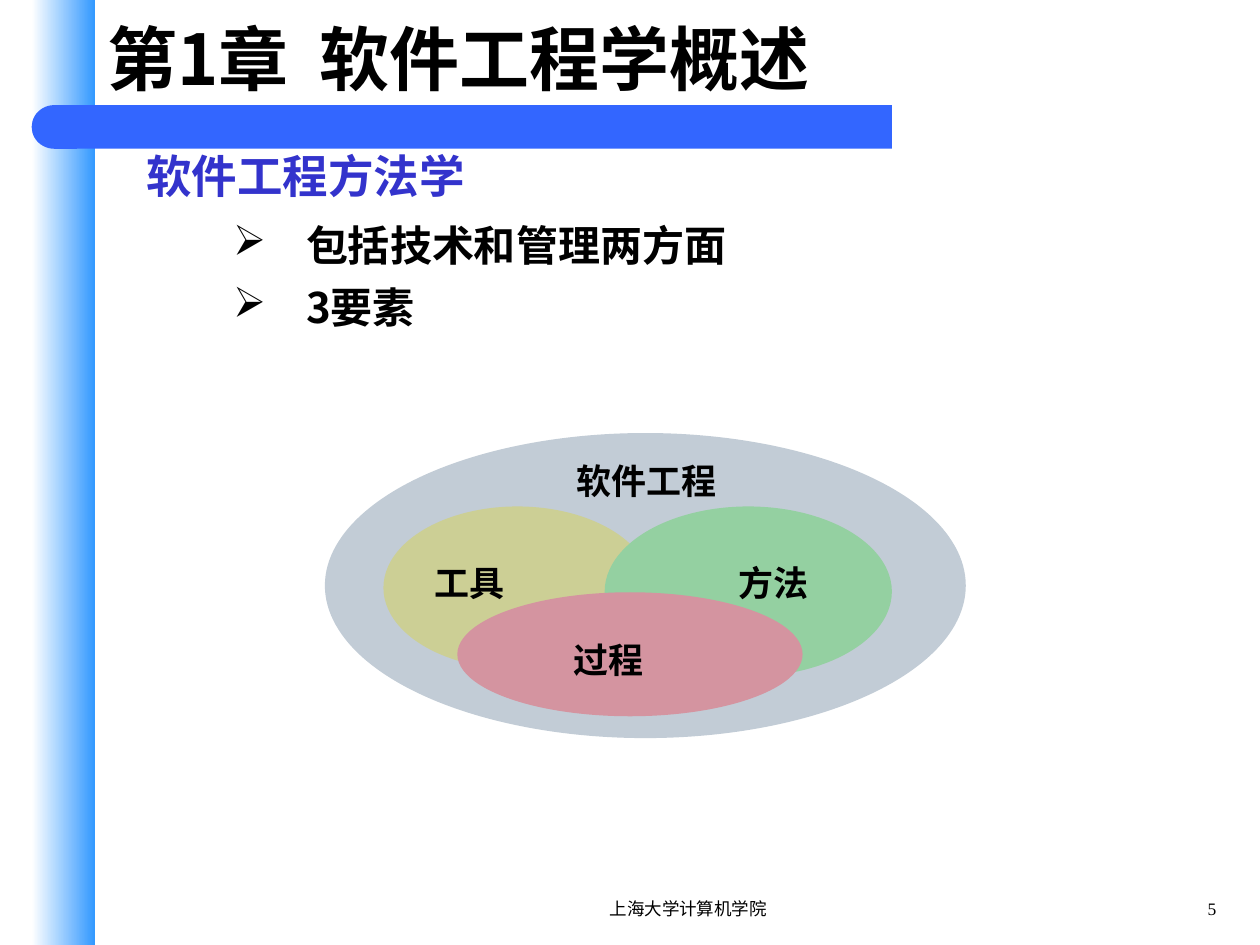
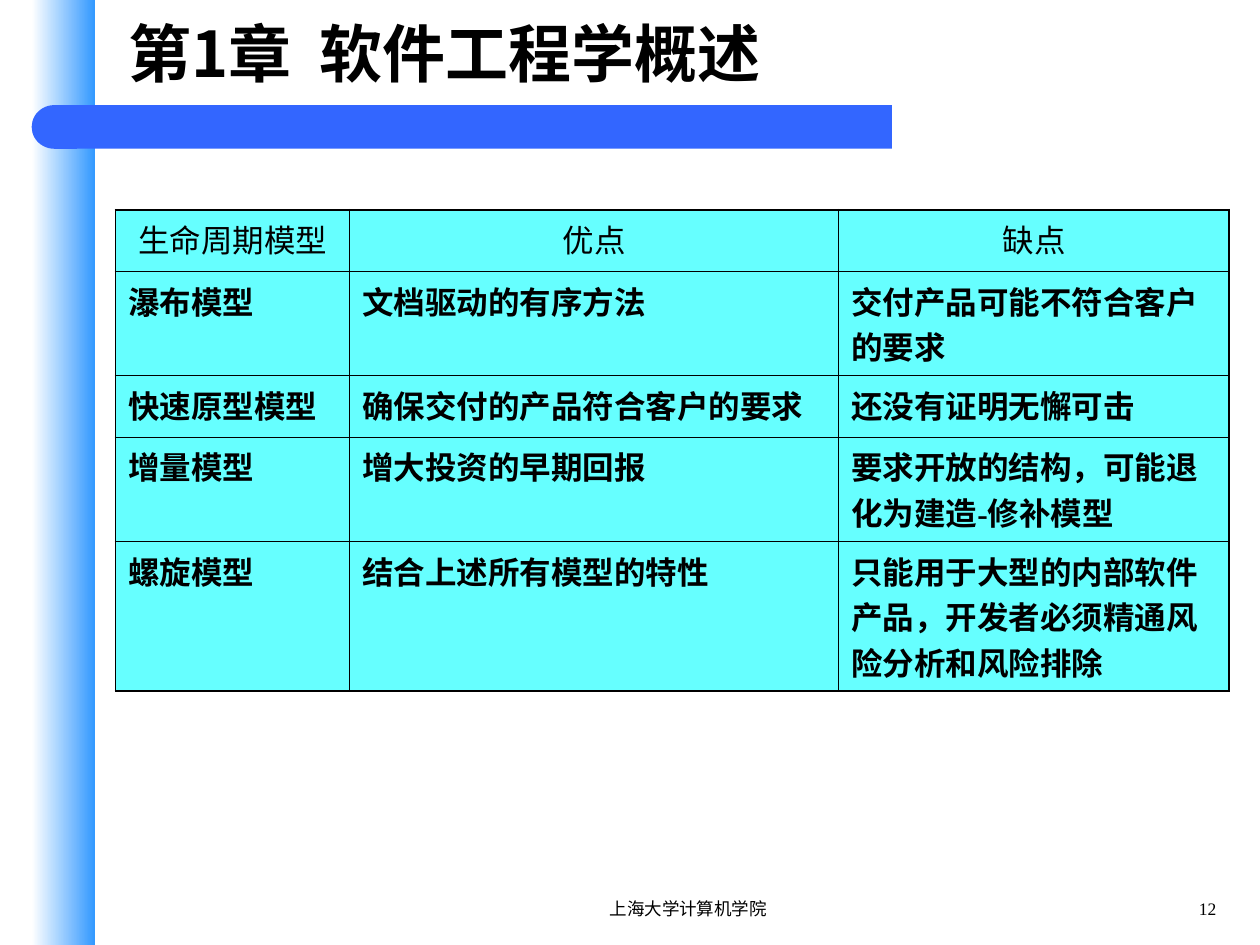
from dataclasses import dataclass

from pptx import Presentation
from pptx.dml.color import RGBColor
from pptx.enum.shapes import MSO_SHAPE
from pptx.enum.text import MSO_ANCHOR, PP_ALIGN
from pptx.oxml.ns import qn
from pptx.util import Cm, Pt
from lxml.etree import SubElement, Element


@dataclass(frozen=True)
class Theme:
    black: str = "000000"
    white: str = "FFFFFF"
    sky: str = "3399FF"
    bar: str = "3366FF"
    heading: str = "3333CC"
    cell: str = "66FFFF"
    whole: str = "C2CCD6"
    tools: str = "CCCF95"
    methods: str = "94D0A1"
    process: str = "D494A0"
    serif: str = "Times New Roman"
    sans: str = "Arial"
    cjk: str = "Noto Sans CJK SC"
    heading_size: float = 26
    bullet_size: float = 24
    label_size: float = 20
    table_size: float = 18
    footer_size: float = 10
    outer_line: float = 1.08
    inner_line: float = 0.45


THEME = Theme()
SCHOOL = "上海大学计算机学院"
CHAPTER = ("第1章", "软件工程学概述")
MODELS = [
    ("生命周期模型", "优点", "缺点"),
    ("瀑布模型", "文档驱动的有序方法", "交付产品可能不符合客户的要求"),
    ("快速原型模型", "确保交付的产品符合客户的要求", "还没有证明无懈可击"),
    ("增量模型", "增大投资的早期回报", "要求开放的结构，可能退化为建造-修补模型"),
    ("螺旋模型", "结合上述所有模型的特性",
     "只能用于大型的内部软件产品，开发者必须精通风险分析和风险排除"),
]


def cm_all(*lengths):
    return [Cm(length) for length in lengths]


def write(para, text, *, size, font=THEME.serif, color=THEME.black, bold=False,
          align=PP_ALIGN.LEFT, tracking=0):
    """Append a formatted span to a paragraph; tracking is in points."""
    para.alignment = align
    span = para.add_run()
    span.text = text
    span.font.size = Pt(size)
    span.font.name = font
    span.font.bold = bold
    span.font.color.rgb = RGBColor.from_string(color)
    properties = span.font._element
    if tracking:
        properties.set("spc", str(round(tracking * 100)))
    east_asian = Element(qn("a:ea"), typeface=THEME.cjk)
    properties.find(qn("a:latin")).addnext(east_asian)


def add_box(slide, area, *, anchor=MSO_ANCHOR.TOP, wrap=True):
    frame = slide.shapes.add_textbox(*cm_all(*area)).text_frame
    frame.word_wrap = wrap
    frame.vertical_anchor = anchor
    return frame


def add_shape(slide, kind, area, color=None):
    shape = slide.shapes.add_shape(kind, *cm_all(*area))
    shape.shadow.inherit = False
    shape.line.fill.background()
    if color:
        shape.fill.solid()
        shape.fill.fore_color.rgb = RGBColor.from_string(color)
    return shape


def add_side_band(slide):
    band = add_shape(slide, MSO_SHAPE.RECTANGLE, (0.64, 0, 1.27, 19.05))
    band.fill.gradient()
    band.fill.gradient_angle = 0
    for stop, position, color in zip(band.fill.gradient_stops, (0, 1),
                                     (THEME.white, THEME.sky)):
        stop.position = position
        stop.color.rgb = RGBColor.from_string(color)


def add_title_bar(slide):
    add_shape(slide, MSO_SHAPE.RECTANGLE, (1.52, 2.12, 16.46, 0.88), THEME.bar)
    cap = add_shape(slide, MSO_SHAPE.FLOWCHART_DELAY, (0.64, 2.12, 0.91, 0.88), THEME.bar)
    cap._element.spPr.find(qn("a:xfrm")).set("flipH", "1")


def add_title(slide, area, size):
    para = add_box(slide, area, anchor=MSO_ANCHOR.MIDDLE).paragraphs[0]
    number, name = CHAPTER
    for text, tracking in ((number, 0), (" ", size * 0.22), (name, 0)):
        write(para, text, size=size, font=THEME.cjk, bold=True, tracking=tracking)


def add_footer(slide, page_number):
    for text, left, width, align in ((SCHOOL, 9.53, 8.69, PP_ALIGN.CENTER),
                                     (page_number, 22.86, 1.91, PP_ALIGN.RIGHT)):
        frame = add_box(slide, (left, 17.98, width, 0.64))
        write(frame.paragraphs[0], str(text), size=THEME.footer_size, align=align)


def add_page(deck, page_number, title_area, title_size):
    slide = deck.slides.add_slide(deck.slide_layouts[6])
    add_side_band(slide)
    add_title_bar(slide)
    add_title(slide, title_area, title_size)
    add_footer(slide, page_number)
    return slide


def set_layout(para, *, margin, before=0, after=0, bullet=None):
    """Set the hanging indent (cm), spacing (pt) and optional bullet."""
    para.line_spacing = 0.9
    para.space_before = Pt(before)
    para.space_after = Pt(after)
    properties = para._p.get_or_add_pPr()
    properties.set("marL", str(Cm(margin)))
    properties.set("indent", str(Cm(-1.47)))
    if bullet:
        color = SubElement(properties, qn("a:buClr"))
        SubElement(color, qn("a:srgbClr"), val=THEME.black)
        SubElement(properties, qn("a:buChar"), char=bullet)


def add_outline(slide, heading, points):
    frame = add_box(slide, (1.91, 2.98, 22, 7.77))
    para = frame.paragraphs[0]
    set_layout(para, margin=2.26, after=7.8)
    write(para, heading, size=THEME.heading_size, color=THEME.heading, bold=True)
    for text, font in points:
        para = frame.add_paragraph()
        para.level = 2
        set_layout(para, margin=4.01, before=4.8, after=4.8, bullet="➢")
        write(para, text, size=THEME.bullet_size, font=font, bold=True)


def add_elements_diagram(slide):
    ellipses = [
        ((6.55, 8.73, 12.92, 6.15), THEME.whole),
        ((7.73, 10.21, 5.4, 3.28), THEME.tools),
        ((12.19, 10.21, 5.79, 3.43), THEME.methods),
        ((9.22, 11.94, 6.96, 2.5), THEME.process),
    ]
    labels = [
        ("软件工程", (9.14, 9.14, 7.8, 1.09)),
        ("过程", (10.31, 12.75, 3.91, 1.09)),
        ("方法", (14.07, 11.28, 3.05, 0.94)),
        ("工具", (7.95, 11.28, 3.05, 0.94)),
    ]
    for area, color in ellipses:
        add_shape(slide, MSO_SHAPE.OVAL, area, color)
    for text, area in labels:
        frame = add_box(slide, area, anchor=MSO_ANCHOR.MIDDLE, wrap=False)
        write(frame.paragraphs[0], text, size=THEME.label_size, font=THEME.sans,
              bold=True, align=PP_ALIGN.CENTER)


def set_borders(cell, outer_sides):
    """Rule all four sides, heavier where the side is on the table's edge."""
    properties = cell._tc.get_or_add_tcPr()
    for index, side in enumerate("LRTB"):
        width = THEME.outer_line if side in outer_sides else THEME.inner_line
        line = Element(qn(f"a:ln{side}"), w=str(Pt(width)))
        fill = SubElement(line, qn("a:solidFill"))
        SubElement(fill, qn("a:srgbClr"), val=THEME.black)
        properties.insert(index, line)


def add_model_table(slide, rows, widths, heights):
    area = cm_all(2.33, 4.23, sum(widths), sum(heights))
    table = slide.shapes.add_table(len(rows), len(widths), *area).table
    for column, width in zip(table.columns, widths):
        column.width = Cm(width)
    for r, (texts, height) in enumerate(zip(rows, heights)):
        table.rows[r].height = Cm(height)
        for c, text in enumerate(texts):
            cell = table.cell(r, c)
            cell.fill.solid()
            cell.fill.fore_color.rgb = RGBColor.from_string(THEME.cell)
            edges = {"L": c == 0, "R": c == len(widths) - 1,
                     "T": r == 0, "B": r == len(rows) - 1}
            set_borders(cell, [side for side, outer in edges.items() if outer])
            write(cell.text_frame.paragraphs[0], text, size=THEME.table_size, bold=r > 0,
                  align=PP_ALIGN.LEFT if r else PP_ALIGN.CENTER)


def main():
    deck = Presentation()
    deck.slide_width, deck.slide_height = cm_all(25.4, 19.05)

    methodology = add_page(deck, 5, (1.91, 0.43, 22.43, 1.47), 40)
    add_outline(methodology, "软件工程方法学",
                [("包括技术和管理两方面", THEME.serif), ("3要素", THEME.cjk)])
    add_elements_diagram(methodology)

    comparison = add_page(deck, 12, (2.34, 0, 22.02, 2.11), 36)
    add_model_table(comparison, MODELS, widths=(4.72, 9.86, 7.87),
                    heights=(1.24, 2.1, 1.24, 2.1, 3.02))

    deck.save("out.pptx")


if __name__ == "__main__":
    main()
